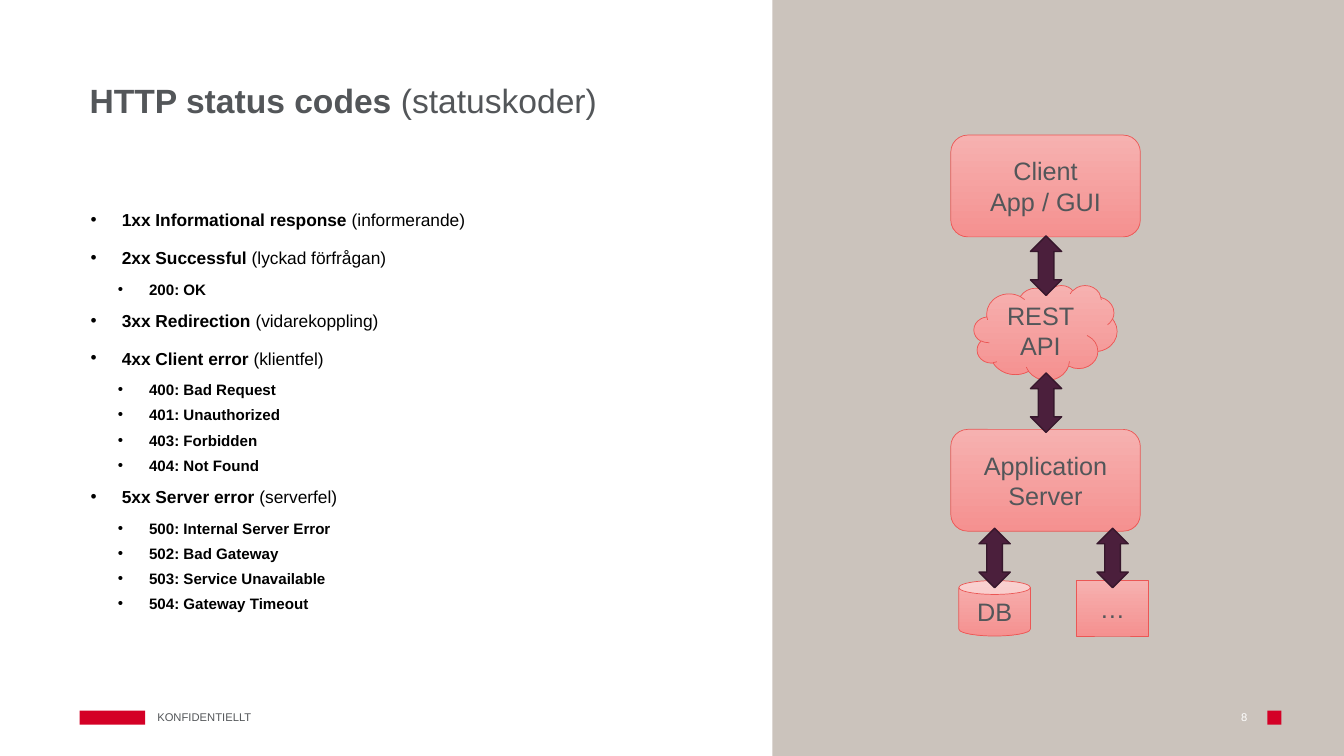
from lxml.etree import SubElement
from pptx import Presentation
from pptx.dml.color import RGBColor
from pptx.enum.shapes import MSO_SHAPE
from pptx.enum.text import MSO_ANCHOR, PP_ALIGN
from pptx.oxml.ns import qn
from pptx.util import Pt

EMU_PER_PX = 9144  # 100 px to the inch
COLOURS = {
    "red": "D40026", "sand": "CBC3BC", "grey": "535659", "black": "000000",
    "white": "FFFFFF", "node_top": "F6B1B0", "node_bottom": "F59190",
    "node_line": "EB5755", "arrow": "4B1F3C", "arrow_line": "37172C",
}

# Each group: code, explanation, individual codes
STATUS_GROUPS = [
    ("1xx Informational response ", "(informerande)", []),
    ("2xx Successful ", "(lyckad förfrågan)", ["200: OK"]),
    ("3xx Redirection ", "(vidarekoppling)", []),
    ("4xx Client error ", "(klientfel)",
     ["400: Bad Request", "401: Unauthorized", "403: Forbidden", "404: Not Found"]),
    ("5xx Server error ", "(serverfel)",
     ["500: Internal Server Error", "502: Bad Gateway",
      "503: Service Unavailable", "504: Gateway Timeout"]),
]


def px(value):
    return value * EMU_PER_PX


def rgb(name):
    return RGBColor.from_string(COLOURS[name])


class SlideBuilder:
    font = "Arial"

    def __init__(self, page):
        self.page = page

    def span(self, para, text, size, colour, bold=False):
        for index, line in enumerate(text.split("\n")):
            if index:
                para.add_line_break()
            run = para.add_run()
            run.text = line
            run.font.name = self.font
            run.font.size = Pt(size)
            run.font.bold = bold
            run.font.color.rgb = rgb(colour)

    def shape(self, kind, bounds, fill, line=None, line_width=1):
        shape = self.page.shapes.add_shape(kind, *map(px, bounds))
        shape.shadow.inherit = False
        shape.fill.solid()
        shape.fill.fore_color.rgb = rgb(fill)
        if line:
            shape.line.color.rgb = rgb(line)
            shape.line.width = Pt(line_width)
        else:
            shape.line.fill.background()
        return shape

    def node(self, kind, bounds, label):
        shape = self.shape(kind, bounds, "node_top", "node_line", 0.5)
        shape.fill.gradient()
        shape.fill.gradient_angle = 270
        for stop, colour in zip(shape.fill.gradient_stops, ("node_top", "node_bottom")):
            stop.color.rgb = rgb(colour)
        frame = shape.text_frame
        frame.word_wrap = True
        frame.vertical_anchor = MSO_ANCHOR.MIDDLE
        para = frame.paragraphs[0]
        para.alignment = PP_ALIGN.CENTER
        self.span(para, label, 18, "grey")

    def arrow(self, left, top):
        self.shape(MSO_SHAPE.UP_DOWN_ARROW, (left, top, 31, 59), "arrow", "arrow_line")

    def text(self, bounds, spans=(), insets=(10, 5, 10, 5), anchor=MSO_ANCHOR.TOP):
        box = self.page.shapes.add_textbox(*map(px, bounds))
        frame = box.text_frame
        frame.word_wrap = True
        frame.vertical_anchor = anchor
        (frame.margin_left, frame.margin_top,
         frame.margin_right, frame.margin_bottom) = map(px, insets)
        for span in spans:
            self.span(frame.paragraphs[0], *span)
        return frame

    def bullet(self, para, level, spans):
        size, gap, margin = ((12.4, 7.5, 32), (10.8, 3.8, 59))[level]
        para.level = level
        para.line_spacing = 0.8
        para.space_before = para.space_after = Pt(gap)
        props = para._p.get_or_add_pPr()
        props.set("marL", str(px(margin)))
        props.set("indent", str(px(-31)))
        SubElement(props, qn("a:buFont"), typeface=self.font)
        SubElement(props, qn("a:buChar"), char="•")
        for text, bold in spans:
            self.span(para, text, size, "black", bold)

    def bullet_list(self, bounds, groups):
        items = []
        for code, meaning, details in groups:
            items.append((0, [(code, True), (meaning, False)]))
            items += [(1, [(detail, True)]) for detail in details]
        frame = self.text(bounds)
        for index, (level, spans) in enumerate(items):
            para = frame.add_paragraph() if index else frame.paragraphs[0]
            self.bullet(para, level, spans)


def main():
    deck = Presentation()
    deck.slide_width, deck.slide_height = px(1333), px(750)
    slide = SlideBuilder(deck.slides.add_slide(deck.slide_layouts[6]))

    # Side panel and footer
    slide.shape(MSO_SHAPE.RECTANGLE, (79, 705, 65, 14), "red")
    slide.shape(MSO_SHAPE.RECTANGLE, (766, 0, 567, 750), "sand")
    slide.text((1226, 700, 30, 24), [("8", 8, "white")], (5, 5, 5, 5))
    slide.shape(MSO_SHAPE.RECTANGLE, (1257, 705, 14, 14), "red")
    slide.text((143, 704, 181, 15), [("KONFIDENTIELLT", 8, "grey")],
               (13, 5, 5, 5), MSO_ANCHOR.MIDDLE)

    # Title and status codes
    slide.text((79, 74, 630, 110), [("HTTP status codes ", 24, "grey", True),
                                    ("(statuskoder)", 24, "grey")])
    slide.bullet_list((79, 207, 630, 429), STATUS_GROUPS)

    # Architecture diagram, back to front
    slide.node(MSO_SHAPE.CLOUD, (966, 283, 142, 94), "REST API")
    slide.node(MSO_SHAPE.CAN, (951, 576, 71, 55), "DB")
    for top, label in ((134, "Client\nApp / GUI"), (426, "Application Server")):
        slide.node(MSO_SHAPE.ROUNDED_RECTANGLE, (943, top, 188, 101), label)
    slide.node(MSO_SHAPE.RECTANGLE, (1068, 576, 71, 55), "…")
    for left, top in ((1022, 234), (1022, 370), (971, 524), (1088, 524)):
        slide.arrow(left, top)

    deck.save("out.pptx")


if __name__ == "__main__":
    main()
